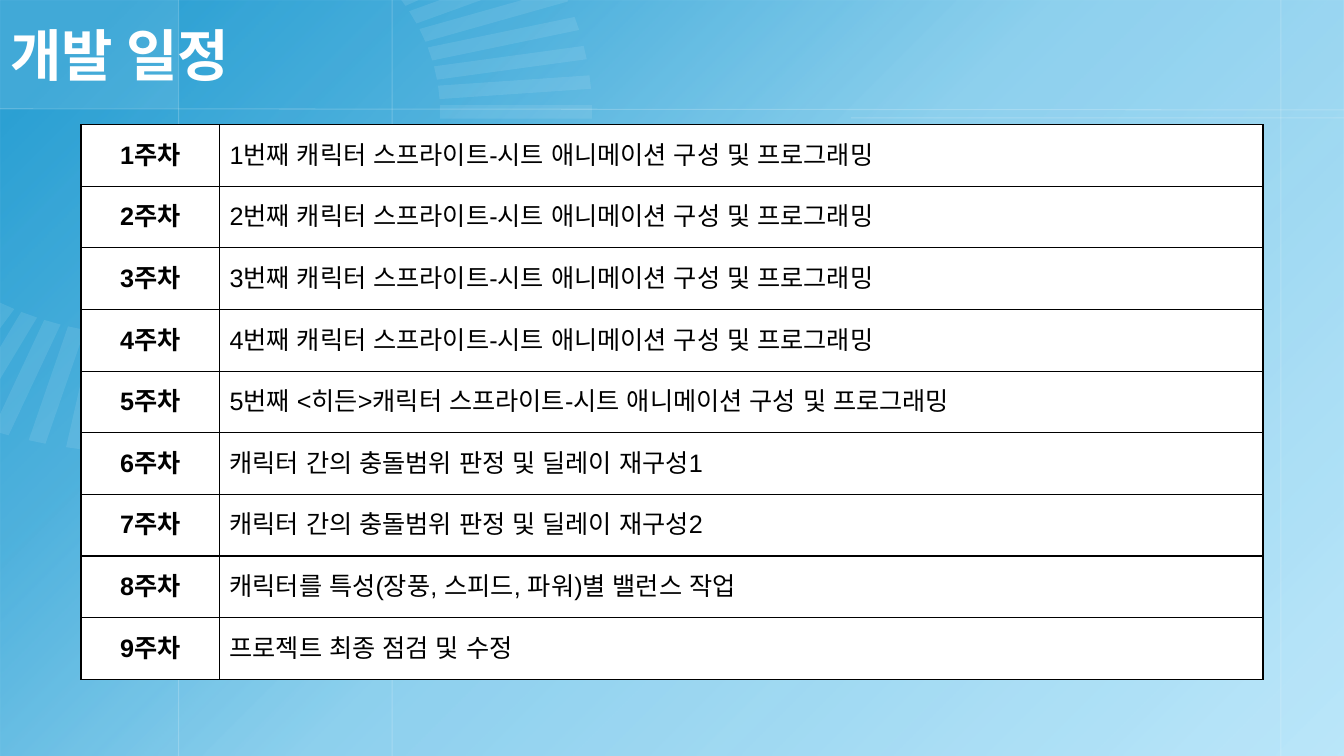
import dataclasses
import math

import pptx
import pptx.dml.color
import pptx.enum.shapes
import pptx.enum.text
import pptx.oxml
import pptx.oxml.ns
import pptx.util
from pptx.util import Cm

ALIGN = pptx.enum.text.PP_ALIGN
MIDDLE = pptx.enum.text.MSO_ANCHOR.MIDDLE
RECTANGLE = pptx.enum.shapes.MSO_SHAPE.RECTANGLE


@dataclasses.dataclass(frozen=True)
class Theme:
    background: str = "BCE7FA"
    deep_blue: str = "0F92CC"
    white: str = "FFFFFF"
    ray: str = "F2FAFE"
    black: str = "000000"
    title_font: str = "Lato"
    table_font: str = "Arial"
    title_size: int = 40
    table_size: int = 18


THEME = Theme()
SLIDE_BOX = (0, 0, 33.87, 19.05)
TITLE_BOX = (0, 0, 27.66, 2.74)
TABLE_BOX = (2.04, 3.14, 29.79, 13.98)
WEEK_WIDTH = 3.49

SPRITE_TASK = "캐릭터 스프라이트-시트 애니메이션 구성 및 프로그래밍"
TASKS = [
    *(f"{number}번째 {SPRITE_TASK}" for number in range(1, 5)),
    f"5번째 <히든>{SPRITE_TASK}",
    "캐릭터 간의 충돌범위 판정 및 딜레이 재구성1",
    "캐릭터 간의 충돌범위 판정 및 딜레이 재구성2",
    "캐릭터를 특성(장풍, 스피드, 파워)별 밸런스 작업",
    "프로젝트 최종 점검 및 수정",
]


def rgb(colour):
    return pptx.dml.color.RGBColor.from_string(colour)


def drawing_xml(markup):
    """Parse one element, adding the drawing namespace to its tag."""
    tag, rest = markup.split(" ", 1)
    return pptx.oxml.parse_xml(f"{tag} {pptx.oxml.ns.nsdecls('a')} {rest}")


def set_opacity(shape, percent):
    for colour in shape.element.iter(pptx.oxml.ns.qn("a:srgbClr")):
        colour.append(drawing_xml(f'<a:alpha val="{percent * 1000}"/>'))


def style_plain(shape, colour, opacity):
    shape.shadow.inherit = False
    shape.fill.solid()
    shape.fill.fore_color.rgb = rgb(colour)
    shape.line.fill.background()
    set_opacity(shape, opacity)


def write_text(frame, text, font, size, colour, bold=False, align=ALIGN.LEFT):
    """Write one run, naming the font for both Latin and Korean letters."""
    paragraph = frame.paragraphs[0]
    paragraph.alignment = align
    run = paragraph.add_run()
    run.text = text
    run.font.name = font
    run.font.size = pptx.util.Pt(size)
    run.font.bold = bold
    run.font.color.rgb = rgb(colour)
    run._r.get_or_add_rPr().append(drawing_xml(f'<a:ea typeface="{font}"/>'))


def add_gradient(slide, box):
    shape = slide.shapes.add_shape(RECTANGLE, *map(Cm, box))
    style_plain(shape, THEME.deep_blue, 100)
    stops = "".join(
        f'<a:gs pos="{position * 1000}"><a:srgbClr val="{THEME.deep_blue}">'
        f'<a:alpha val="{opacity * 1000}"/></a:srgbClr></a:gs>'
        for position, opacity in ((6, 83), (26, 63), (50, 27), (100, 0))
    )
    gradient = drawing_xml(
        f'<a:gradFill rotWithShape="1"><a:gsLst>{stops}</a:gsLst>'
        '<a:lin ang="2700000" scaled="0"/></a:gradFill>'
    )
    solid = shape.element.spPr.find(pptx.oxml.ns.qn("a:solidFill"))
    solid.getparent().replace(solid, gradient)


def add_guide_lines(slide, box):
    left, top, width, height = box
    right, bottom = left + width, top + height
    guides = [(left + x, top, left + x, bottom) for x in (4.5, 32.28, 9.88)]
    guides += [
        (left, top + 2.74, right, top + 2.77),
        (left + 21.44, top + 2.97, right, top + 2.97),
    ]
    for ends in guides:
        line = slide.shapes.add_connector(
            pptx.enum.shapes.MSO_CONNECTOR.STRAIGHT, *map(Cm, ends)
        )
        line.line.color.rgb = rgb(THEME.white)
        line.line.width = pptx.util.Pt(0.75)
        set_opacity(line, 20)
        line.element.spPr.append(drawing_xml("<a:effectLst />"))


def clip(points, axis, limit):
    """Cut a polygon to the side where the given coordinate is at least limit."""
    kept = []
    for start, end in zip(points, points[1:] + points[:1]):
        if start[axis] >= limit:
            kept.append(start)
        if (start[axis] >= limit) != (end[axis] >= limit):
            share = (limit - start[axis]) / (end[axis] - start[axis])
            kept.append(tuple(a + share * (b - a) for a, b in zip(start, end)))
    return kept


def add_ray_wheel(slide, box):
    """Draw a stretched wheel, one ray every 5 degrees, cut at the box edges."""
    left, top = box[:2]
    inner, outer, half_width, stretch = 5.64, 8.61, 0.17, 1.29
    corners = [(inner, -half_width), (outer, -half_width),
               (outer, half_width), (inner, half_width)]
    wheel = slide.shapes.add_group_shape()
    for degrees in range(-30, 121, 5):
        cosine = math.cos(math.radians(degrees))
        sine = math.sin(math.radians(degrees))
        points = [
            (left + 3.81 + stretch * (along * cosine - across * sine),
             top + 2.82 + along * sine + across * cosine)
            for along, across in corners
        ]
        points = clip(clip(points, 0, left), 1, top)
        outline = [(Cm(x), Cm(y)) for x, y in points]
        builder = wheel.shapes.build_freeform(*outline[0])
        builder.add_line_segments(outline[1:], close=True)
        style_plain(builder.convert_to_shape(), THEME.ray, 10)


def add_backdrop(slide, box):
    slide.background.fill.solid()
    slide.background.fill.fore_color.rgb = rgb(THEME.background)
    add_gradient(slide, box)
    corner = slide.shapes.add_shape(
        RECTANGLE, *map(Cm, (box[0], box[1], 4.5, 2.74))
    )
    style_plain(corner, THEME.white, 10)
    add_guide_lines(slide, box)
    add_ray_wheel(slide, box)


def add_title(slide, box, text):
    title = slide.shapes.title
    title.left, title.top, title.width, title.height = map(Cm, box)
    title.element.getparent().append(title.element)
    frame = title.text_frame
    frame.auto_size = pptx.enum.text.MSO_AUTO_SIZE.NONE
    frame.word_wrap = True
    frame.vertical_anchor = MIDDLE
    write_text(frame, text, THEME.title_font, THEME.title_size,
               THEME.white, bold=True)


def style_cell(cell):
    cell.vertical_anchor = MIDDLE
    cell.fill.solid()
    cell.fill.fore_color.rgb = rgb(THEME.white)
    properties = cell._tc.get_or_add_tcPr()
    for index, side in enumerate("LRTB"):
        properties.insert(index, drawing_xml(
            f'<a:ln{side} w="12700"><a:solidFill>'
            f'<a:srgbClr val="{THEME.black}"/></a:solidFill></a:ln{side}>'
        ))


def add_schedule(slide, box, tasks):
    table = slide.shapes.add_table(len(tasks), 2, *map(Cm, box)).table
    table.first_row = table.horz_banding = False
    table.columns[0].width = Cm(WEEK_WIDTH)
    table.columns[1].width = Cm(box[2] - WEEK_WIDTH)
    for number, (row, task) in enumerate(zip(table.rows, tasks), start=1):
        row.height = Cm(box[3] / len(tasks))
        entries = ((f"{number}주차", True, ALIGN.CENTER),
                   (task, False, ALIGN.JUSTIFY))
        for cell, (text, bold, align) in zip(row.cells, entries):
            style_cell(cell)
            write_text(cell.text_frame, text, THEME.table_font,
                       THEME.table_size, THEME.black, bold=bold, align=align)


def main():
    presentation = pptx.Presentation()
    presentation.slide_width, presentation.slide_height = map(Cm, SLIDE_BOX[2:])
    slide = presentation.slides.add_slide(presentation.slide_layouts[5])
    add_backdrop(slide, SLIDE_BOX)
    add_title(slide, TITLE_BOX, "개발 일정")
    add_schedule(slide, TABLE_BOX, TASKS)
    presentation.save("out.pptx")


if __name__ == "__main__":
    main()
